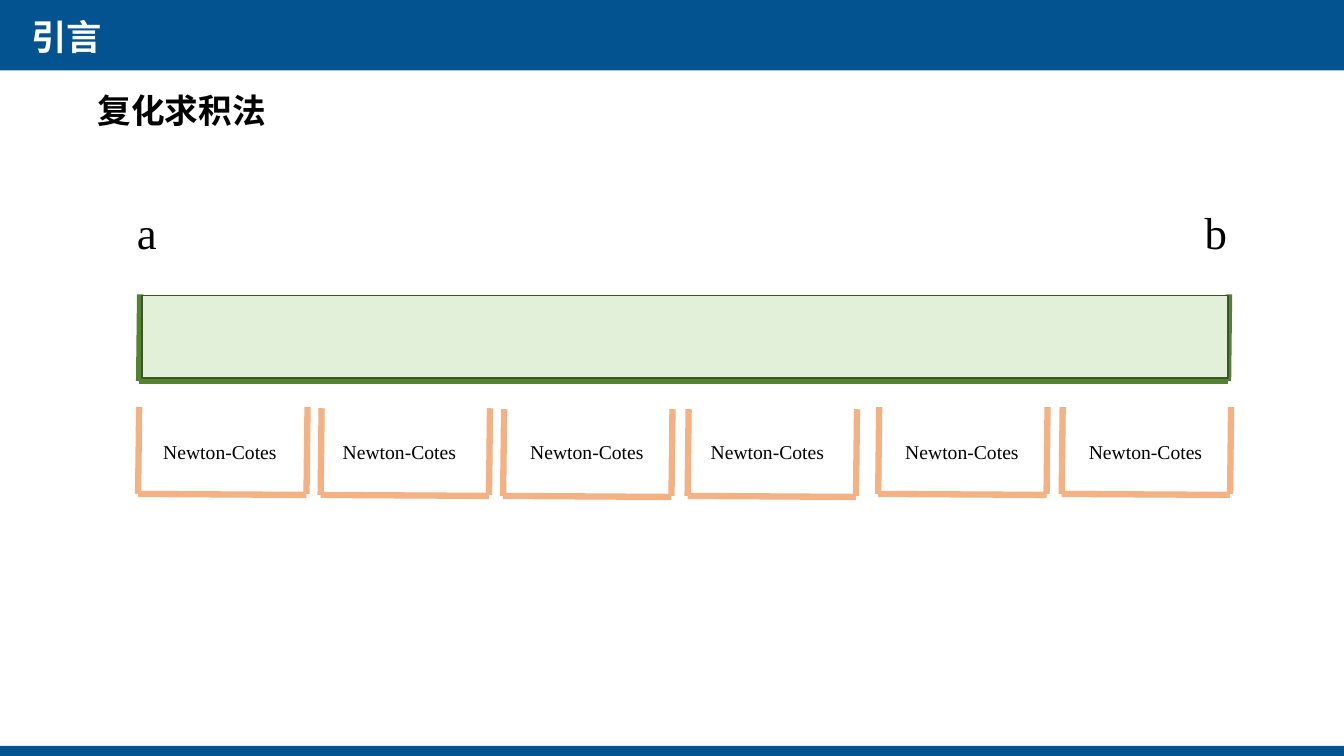
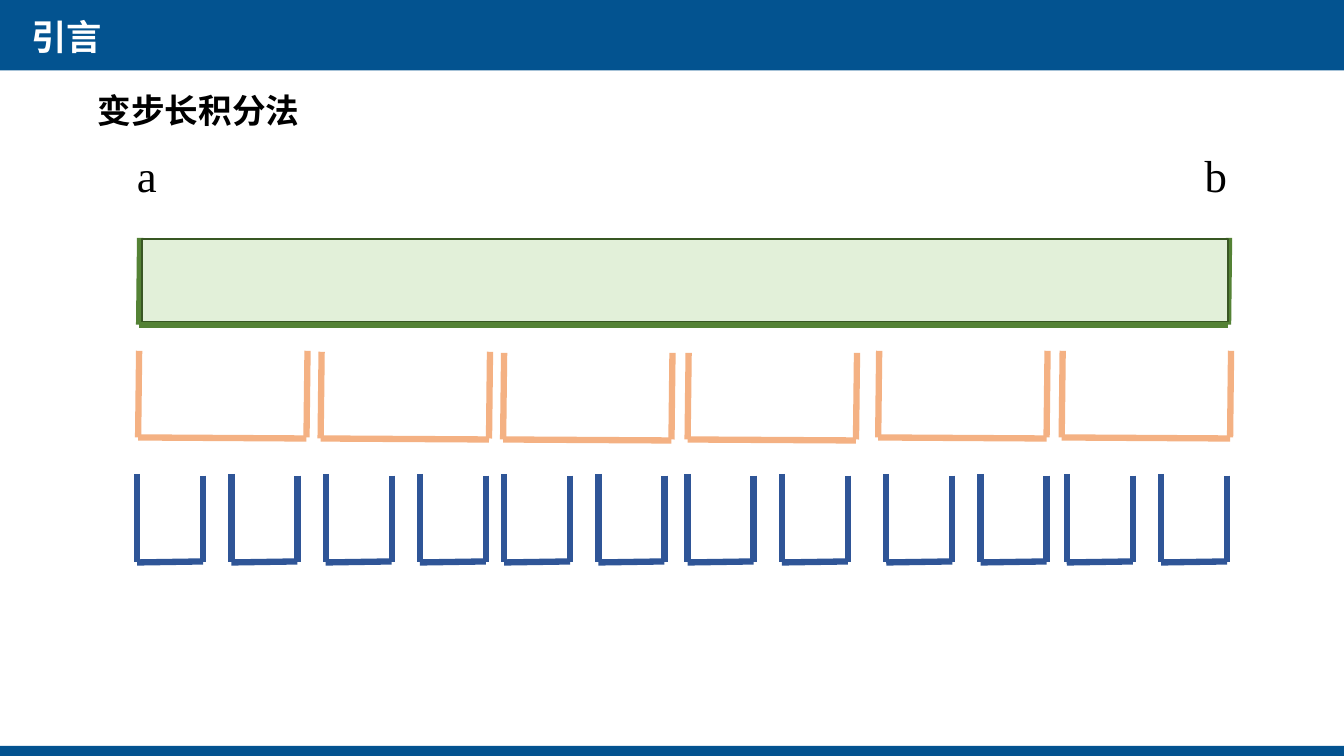
from dataclasses import dataclass

from lxml import etree
from pptx import Presentation
from pptx.dml.color import RGBColor
from pptx.enum.shapes import MSO_CONNECTOR, MSO_SHAPE
from pptx.enum.text import MSO_ANCHOR
from pptx.oxml.ns import qn
from pptx.util import Emu, Pt

RECT = MSO_SHAPE.RECTANGLE
LINE = MSO_CONNECTOR.STRAIGHT
TOP, MID = MSO_ANCHOR.TOP, MSO_ANCHOR.MIDDLE
SCALE = 9144  # EMU in one px, 100 px to the inch
WIDE, HIGH = 1333, 750


@dataclass(frozen=True)
class Theme:
    # Colours
    band: str = "035390"
    white: str = "FFFFFF"
    ink: str = "000000"
    green: str = "548235"
    pale: str = "E2F0D9"
    edge: str = "385723"
    peach: str = "F4B183"
    blue: str = "2F5597"
    # Fonts
    sans: str = "Noto Sans CJK SC"
    mono: str = "DejaVu Sans Mono"
    serif: str = "Times New Roman"
    # Type sizes and line widths, in points
    title: float = 25.2
    head: float = 24
    end: float = 32
    label: float = 14
    thin: float = 1
    thick: float = 4.5


THEME = Theme()


def px(n):
    return Emu(round(n * SCALE))


def rgb(code):
    return RGBColor.from_string(code)


def write(frame, text, *, size, font, color=THEME.ink, bold=False,
          anchor=TOP, space=None):
    """Put one formatted line of text into a frame."""
    frame.word_wrap = True
    frame.vertical_anchor = anchor
    par = frame.paragraphs[0]
    par.line_spacing = space
    run = par.add_run()
    run.text = text
    face = run.font
    face.size, face.name, face.bold = Pt(size), font, bold
    face.color.rgb = rgb(color)
    east = etree.SubElement(run._r.get_or_add_rPr(), qn("a:ea"))
    east.set("typeface", font)


class Deck:
    def __init__(self, theme):
        self.theme = theme
        self.prs = Presentation()
        self.prs.slide_width, self.prs.slide_height = px(WIDE), px(HIGH)
        self.slide = None

    def page(self, title, head):
        """Start a slide with its bands, title and heading."""
        t = self.theme
        self.slide = self.prs.slides.add_slide(self.prs.slide_layouts[6])
        self.box(0, 0, WIDE, 70, t.band)
        self.box(0, 740, WIDE, 10, t.band)
        self.text(21, 12, 893, 53, title, size=t.title, font=t.sans,
                  color=t.white, bold=True, anchor=MID, space=0.9)
        self.text(87, 84, 444, 50, head, size=t.head, font=t.mono, bold=True)

    def box(self, x, y, w, h, fill, edge=None):
        shape = self.slide.shapes.add_shape(RECT, px(x), px(y), px(w), px(h))
        shape.shadow.inherit = False
        shape.fill.solid()
        shape.fill.fore_color.rgb = rgb(fill)
        if edge:
            shape.line.color.rgb = rgb(edge)
            shape.line.width = Pt(self.theme.thin)
        else:
            shape.line.fill.background()

    def text(self, x, y, w, h, words, **style):
        area = self.slide.shapes.add_textbox(px(x), px(y), px(w), px(h))
        write(area.text_frame, words, **style)

    def line(self, x1, y1, x2, y2, color):
        rule = self.slide.shapes.add_connector(
            LINE, px(x1), px(y1), px(x2), px(y2))
        rule.line.color.rgb = rgb(color)
        rule.line.width = Pt(self.theme.thick)
        etree.SubElement(rule._element.spPr, qn("a:effectLst"))

    def cup(self, x, y, w, h, color, lean=1, tilt=0, drop=0):
        """Draw an open-topped bracket: base, left side, right side."""
        base = y + h
        self.line(x, base, x + w, base + tilt, color)
        self.line(x + lean, y, x, base, color)
        self.line(x + w + lean, y + drop, x + w, base, color)

    def span(self, y):
        """Draw the whole interval from a to b, with its end names."""
        t = self.theme
        self.cup(138, y, 1080, 86, t.green)
        self.box(141, y + 1, 1077, 82, t.pale, t.edge)
        for x, name in ((126, "a"), (1185, "b")):
            self.text(x, y - 94, 70, 72, name, size=t.end, font=t.serif)

    def steps(self, y):
        """Draw the six steps of the interval."""
        for x, dip in STEPS:
            self.cup(x, y + dip, 167, 86, self.theme.peach, tilt=1)

    def halves(self, y):
        """Draw each step split in two."""
        for x in PAIRS:
            for left in (x, x + 93.5):
                self.cup(left, y, 65.5, 88, self.theme.blue,
                         lean=0, tilt=-1, drop=2)


# Left edge and dip of each step, then left edges of labels and pairs
STEPS = ((137, 0), (318, 1), (499, 2), (682, 2), (871, 0), (1053, 0))
LABELS = (152, 330, 516, 695, 888, 1070)
PAIRS = (136, 323, 500, 682, 879, 1058)


def main():
    deck = Deck(THEME)

    # Composite rule
    deck.page("引言", "复化求积法")
    deck.span(292)
    deck.steps(404)
    for x in LABELS:
        deck.text(x, 432, 135, 47, "Newton-Cotes",
                  size=THEME.label, font=THEME.serif)

    # Variable step
    deck.page("引言", "变步长积分法")
    deck.span(236)
    deck.steps(348)
    deck.halves(470)

    deck.prs.save("out.pptx")


if __name__ == "__main__":
    main()
